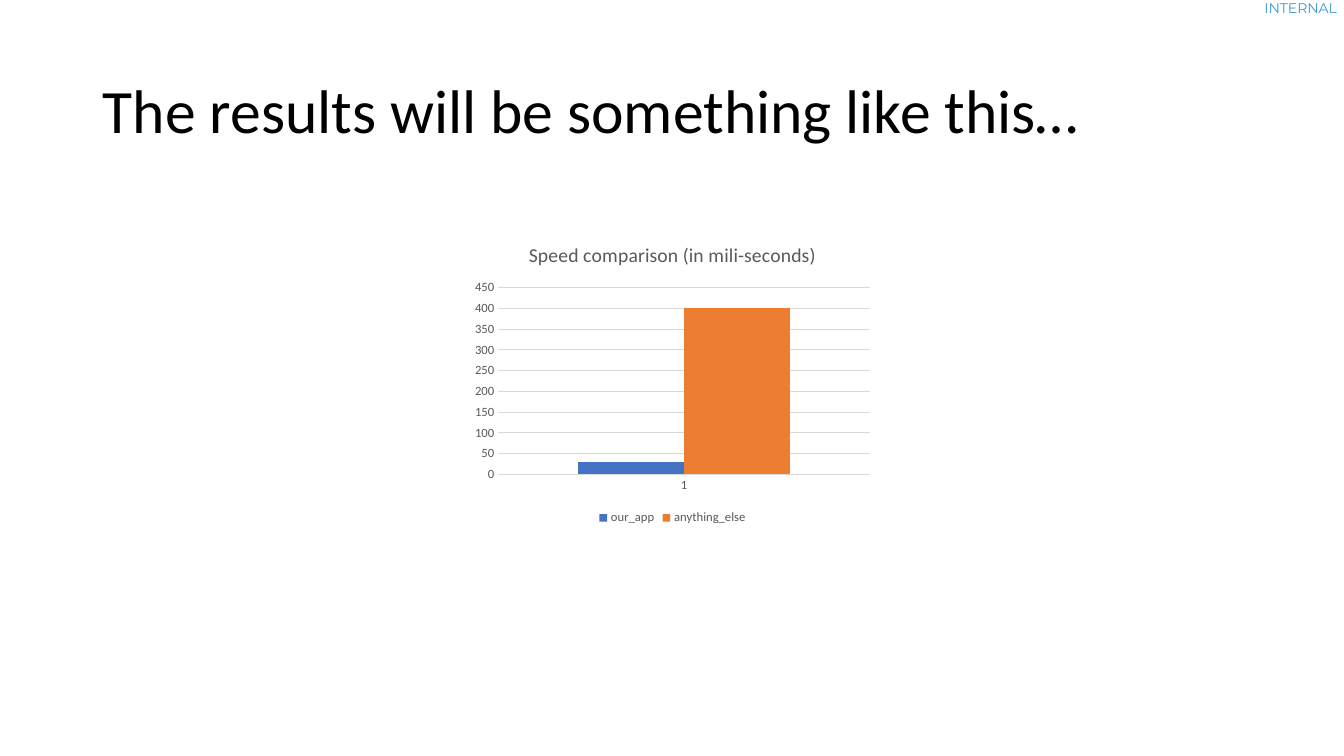
import pptx
import pptx.chart.data
import pptx.dml.color
import pptx.enum.chart
import pptx.enum.text
import pptx.util

Inches, Pt = pptx.util.Inches, pptx.util.Pt


def color(hex_value):
    return pptx.dml.color.RGBColor.from_string(hex_value)


def set_font(font, name, size, hex_value):
    values = {"name": name, "size": Pt(size), "bold": False}
    for key, value in values.items():
        setattr(font, key, value)
    font.color.rgb = color(hex_value)


deck = pptx.Presentation()
deck.slide_width, deck.slide_height = Inches(13.33), Inches(7.5)
page = deck.slides.add_slide(deck.slide_layouts[5])

# Classification label in the top right corner
label = page.shapes.add_textbox(Inches(12.54), 0, Inches(0.79), Inches(0.17))
label_format = {"margin_left": 0, "margin_top": 0, "margin_right": 0,
                "margin_bottom": 0, "word_wrap": True}
for key, value in label_format.items():
    setattr(label.text_frame, key, value)
span = label.text_frame.paragraphs[0].add_run()
span.text = "INTERNAL"
set_font(span.font, "Montserrat", 10, "4099DA")

# Title
title = page.shapes.title
title_place = {"left": 0.92, "top": 0.4, "width": 11.5, "height": 1.45}
for key, value in title_place.items():
    setattr(title, key, Inches(value))
title.text_frame.vertical_anchor = pptx.enum.text.MSO_ANCHOR.MIDDLE
para = title.text_frame.paragraphs[0]
para.alignment = pptx.enum.text.PP_ALIGN.LEFT
para.line_spacing = 0.9
span = para.add_run()
span.text = "The results will be something like this…"
set_font(span.font, "Calibri", 44, "000000")

# Speed chart
speeds = [("our_app", 30, "4472C4"), ("anything_else", 400, "ED7D31")]
chart_data = pptx.chart.data.CategoryChartData()
chart_data.categories = ["1"]
for name, milliseconds, _ in speeds:
    chart_data.add_series(name, [milliseconds])
chart = page.shapes.add_chart(
    pptx.enum.chart.XL_CHART_TYPE.COLUMN_CLUSTERED,
    Inches(4.63), Inches(2.25), Inches(4.08), Inches(3), chart_data).chart
set_font(chart.font, "Calibri", 10, "000000")

# Chart title and legend
chart.has_title = True
span = chart.chart_title.text_frame.paragraphs[0].add_run()
span.text = "Speed comparison (in mili-seconds)"
set_font(span.font, "Calibri", 14, "595959")
chart.chart_title.include_in_layout = False
chart.has_legend = True
chart.legend.position = pptx.enum.chart.XL_LEGEND_POSITION.BOTTOM
chart.legend.include_in_layout = False
set_font(chart.legend.font, "Calibri", 9, "595959")

# Columns
plot = chart.plots[0]
plot.gap_width, plot.overlap, plot.vary_by_categories = 150, 0, False
for series, (_, _, fill) in zip(plot.series, speeds):
    series.format.fill.solid()
    series.format.fill.fore_color.rgb = color(fill)

# Axes and gridlines
for axis in (chart.category_axis, chart.value_axis):
    axis.major_tick_mark = pptx.enum.chart.XL_TICK_MARK.NONE
    axis.minor_tick_mark = pptx.enum.chart.XL_TICK_MARK.NONE
    set_font(axis.tick_labels.font, "Calibri", 9, "595959")
value_format = {"minimum_scale": 0, "maximum_scale": 450, "major_unit": 50,
                "has_major_gridlines": True}
for key, value in value_format.items():
    setattr(chart.value_axis, key, value)
chart.value_axis.format.line.fill.background()
for line in (chart.category_axis.format.line,
             chart.value_axis.major_gridlines.format.line):
    line.color.rgb = color("D9D9D9")
    line.width = Pt(0.75)

deck.save("out.pptx")
